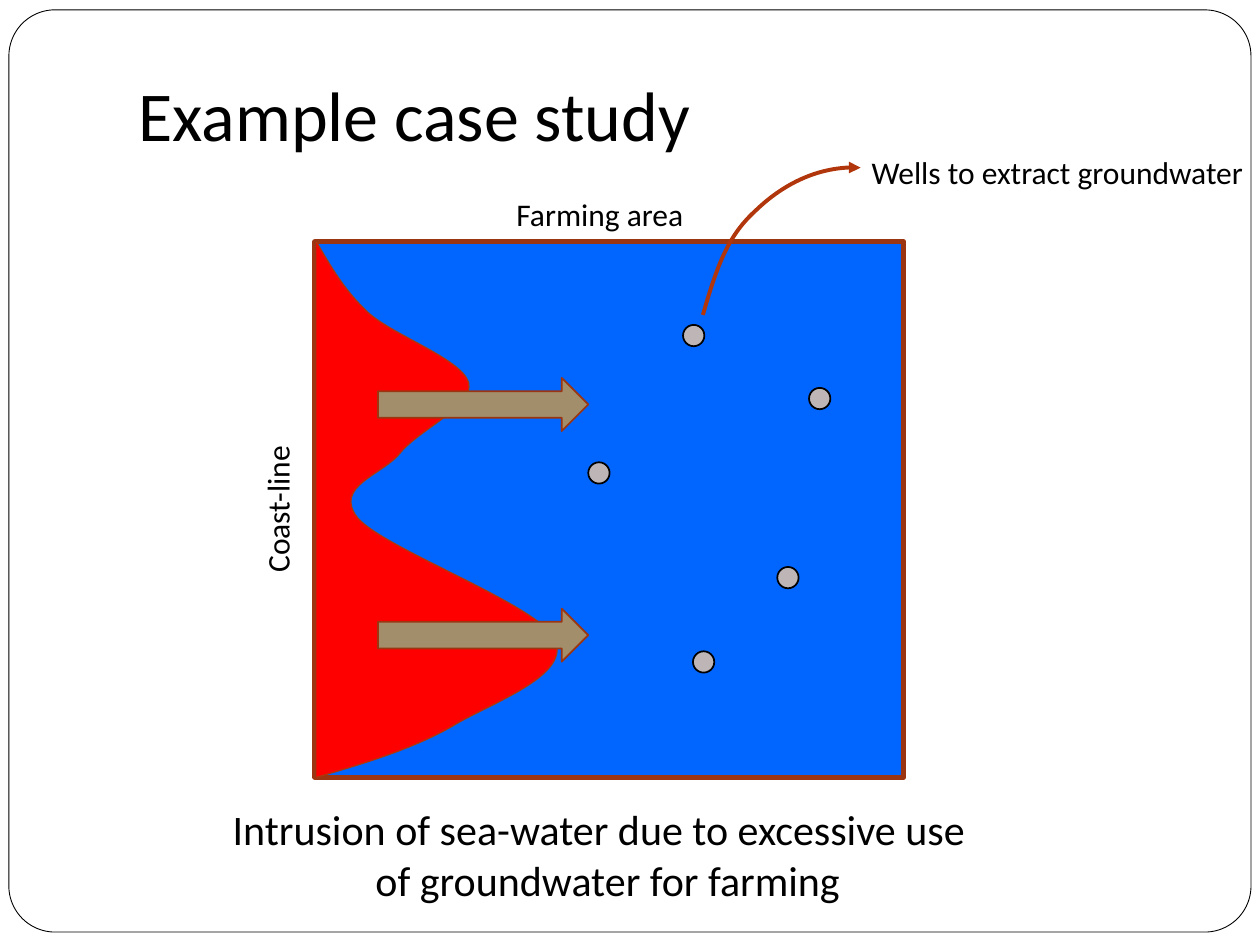
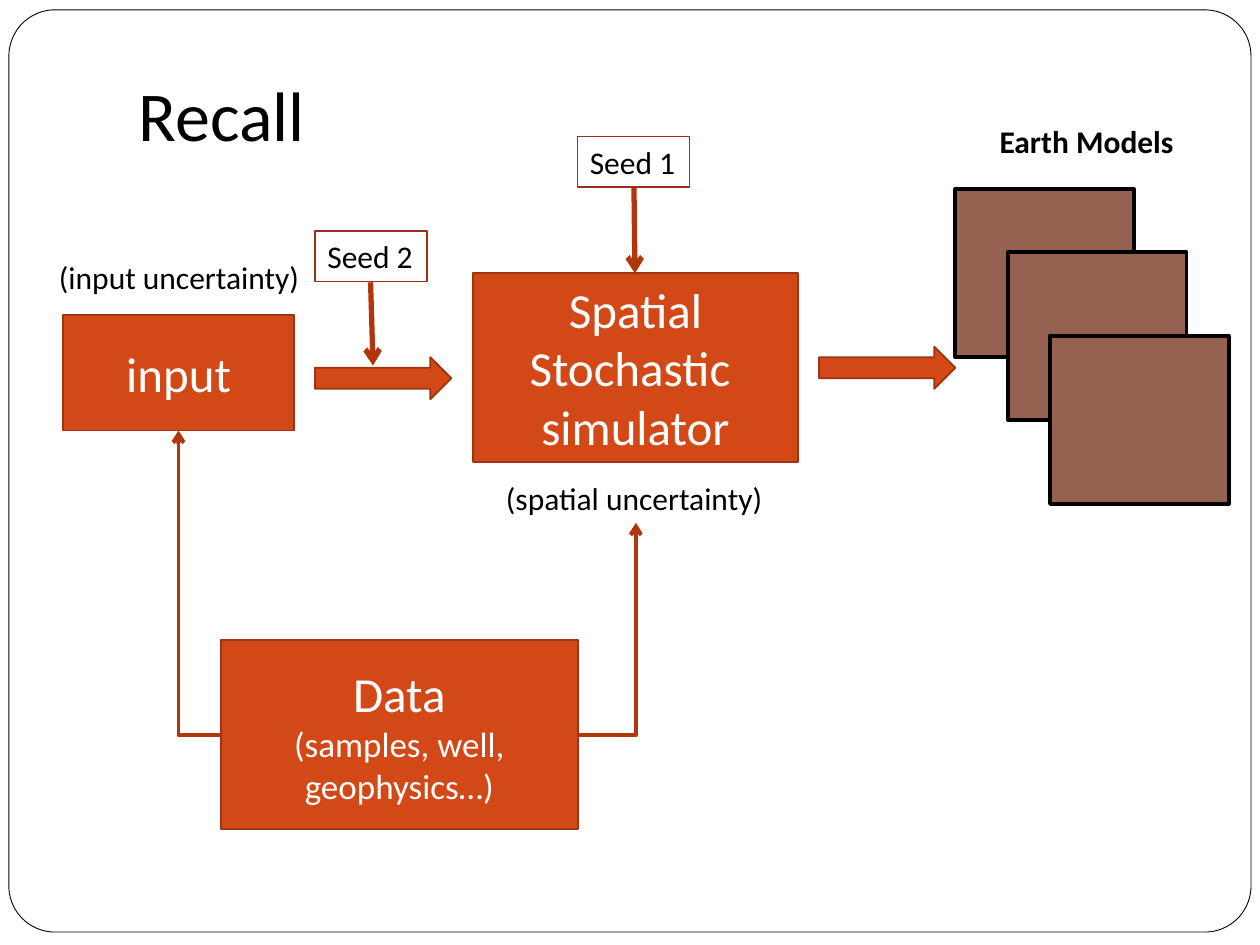
"""Build two slides: a sea-water intrusion case study and a recap of stochastic simulation."""
import dataclasses
import itertools

import lxml.etree
import pptx
import pptx.dml.color
import pptx.enum.shapes
import pptx.enum.text
import pptx.oxml.ns
import pptx.shapes.connector
import pptx.util

Cm = pptx.util.Cm
qn = pptx.oxml.ns.qn
MSO = pptx.enum.shapes.MSO_SHAPE
CXN = pptx.enum.shapes.MSO_CONNECTOR
ALIGN = pptx.enum.text.PP_ALIGN
ANCHOR = pptx.enum.text.MSO_ANCHOR


@dataclasses.dataclass(frozen=True)
class Theme:
    font: str = "Calibri"
    title: int = 40
    box: int = 28
    caption: int = 24
    detail: int = 20
    label: int = 18
    black: str = "000000"
    white: str = "FFFFFF"
    orange: str = "D34817"
    edge: str = "9C3511"
    arrow: str = "B1360B"
    seed: str = "9B2D1F"
    fresh: str = "0066FF"
    salt: str = "FF0000"
    flow: str = "A28E6A"
    well: str = "BDB5B6"
    model: str = "956251"


T = Theme()


def paint(sp, fill=None, line=T.edge, width=1, tail=None):
    sp.line.color.rgb = pptx.dml.color.RGBColor.from_string(line)
    sp.line.width = pptx.util.Pt(width)
    spPr = sp.element.spPr
    if tail:
        lxml.etree.SubElement(spPr.find(qn("a:ln")), qn("a:tailEnd"), type=tail)
    if isinstance(sp, pptx.shapes.connector.Connector):
        lxml.etree.SubElement(spPr, qn("a:effectLst"))
        return sp
    sp.shadow.inherit = False
    if fill:
        sp.fill.solid()
        sp.fill.fore_color.rgb = pptx.dml.color.RGBColor.from_string(fill)
    else:
        sp.fill.background()
    return sp


def write(sp, text, sizes=(T.label,), color=T.black, bold=False,
          aligns=(ALIGN.LEFT,), anchor=ANCHOR.TOP, wrap=False):
    tf = sp.text_frame
    tf.word_wrap = wrap
    tf.vertical_anchor = anchor
    formats = zip(text.split("\n"), itertools.cycle(sizes), itertools.cycle(aligns))
    for i, (words, size, align) in enumerate(formats):
        p = tf.add_paragraph() if i else tf.paragraphs[0]
        p.alignment = align
        r = p.add_run()
        r.text = words
        r.font.name = T.font
        r.font.size = pptx.util.Pt(size)
        r.font.bold = bold
        r.font.color.rgb = pptx.dml.color.RGBColor.from_string(color)
    return sp


prs = pptx.Presentation()
prs.slide_width, prs.slide_height = Cm(25.4), Cm(19.05)
layout = prs.slide_layouts.get_by_name("Title Only")
slides = []
for title in ("Example case study", "Recall"):
    s = prs.slides.add_slide(layout)
    sp = s.shapes.title
    sp.left, sp.top, sp.width, sp.height = Cm(2.54), Cm(0.2), Cm(21.59), Cm(3.18)
    write(sp, title, sizes=(T.title,), anchor=ANCHOR.BOTTOM, wrap=True)
    sp.text_frame.margin_bottom = Cm(0.25)
    slides.append(s)
case, recall = slides

frame = case.shapes.add_shape(MSO.ROUNDED_RECTANGLE, Cm(0.18), Cm(0.2), Cm(25.04), Cm(18.59))
frame.adjustments[0] = 0.05
paint(frame, T.white, T.black, 0.5)
layout.shapes.element.insert(2, frame.element)

field = case.shapes.add_shape(MSO.RECTANGLE, Cm(6.35), Cm(4.87), Cm(11.86), Cm(10.8))
paint(field, T.fresh, width=3)

salt_front = [
    (6.38, 4.88), (6.65, 5.33), (6.91, 5.82), (7.42, 6.3), (7.92, 6.76), (9.32, 7.24),
    (9.45, 7.72), (9.55, 8.18), (8.46, 8.66), (8.08, 9.12), (7.72, 9.58), (6.71, 9.8),
    (7.21, 10.44), (7.75, 11.07), (10.85, 12.19), (11.18, 12.88), (11.53, 13.59),
    (10.03, 14.12), (9.22, 14.58), (8.43, 15.06), (7.42, 15.37), (6.38, 15.67)]
well_pointer = [
    (14.17, 6.35), (14.48, 5.26), (14.71, 4.72), (15.24, 4.24),
    (15.77, 3.73), (16.56, 3.33), (17.35, 3.38)]
for points, style in (
        (salt_front, dict(fill=T.salt, line=T.arrow, width=0.75)),
        (well_pointer, dict(line=T.arrow, width=2.25, tail="triangle"))):
    start, *rest = [(Cm(x), Cm(y)) for x, y in points]
    builder = case.shapes.build_freeform(*start)
    builder.add_line_segments(rest, close=False)
    sp = paint(builder.convert_to_shape(), **style)
    outline = next(sp.element.iter(qn("a:path")))
    segments = outline.findall(qn("a:lnTo"))
    for i in range(0, len(segments), 3):
        curve = lxml.etree.SubElement(outline, qn("a:cubicBezTo"))
        for segment in segments[i:i + 3]:
            curve.append(segment[0])
            outline.remove(segment)

for y in (12.27, 7.62):
    paint(case.shapes.add_shape(MSO.RIGHT_ARROW, Cm(7.62), Cm(y), Cm(4.24), Cm(1.07)), T.flow)

for x, y in ((13.77, 6.55), (15.67, 11.43), (16.31, 7.82), (11.86, 9.32), (13.97, 13.13)):
    sp = case.shapes.add_shape(MSO.OVAL, Cm(x), Cm(y), Cm(0.43), Cm(0.43))
    paint(sp, T.well, T.black)

for s, text, x, y, w, rotation, bold in (
        (case, "Coast-line", 4.04, 9.73, 3.1, 270, False),
        (case, "Farming area", 10.16, 3.81, 3.91, 0, False),
        (case, "Wells to extract groundwater", 17.32, 2.97, 8.08, 0, False),
        (recall, "Earth Models", 19.9, 2.33, 4.04, 0, True),
        (recall, "(spatial uncertainty)", 9.95, 9.53, 5.74, 0, False),
        (recall, "(input uncertainty)", 0.94, 5.08, 5.41, 0, False)):
    sp = s.shapes.add_textbox(Cm(x), Cm(y), Cm(w), Cm(1.02))
    sp.rotation = rotation
    write(sp, text, bold=bold)

sp = case.shapes.add_textbox(Cm(4.44), Cm(16.08), Cm(15.62), Cm(2.31))
write(sp, "Intrusion of sea-water due to excessive use\nof groundwater for farming",
      sizes=(T.caption,), aligns=(ALIGN.LEFT, ALIGN.CENTER), wrap=True)

for text, x, y, w, h, sizes in (
        ("Spatial\nStochastic \nsimulator", 9.53, 5.5, 6.56, 3.81, (T.box,)),
        ("input", 1.27, 6.35, 4.66, 2.33, (T.box,)),
        ("Data\n(samples, well, geophysics…)", 4.45, 12.91, 7.2, 3.81, (T.box, T.detail))):
    sp = paint(recall.shapes.add_shape(MSO.RECTANGLE, Cm(x), Cm(y), Cm(w), Cm(h)), T.orange)
    write(sp, text, sizes=sizes, color=T.white, aligns=(ALIGN.CENTER,),
          anchor=ANCHOR.MIDDLE, wrap=True)

for text, x, y in (("Seed 1", 11.64, 2.75), ("Seed 2", 6.35, 4.66)):
    sp = recall.shapes.add_shape(MSO.RECTANGLE, Cm(x), Cm(y), Cm(2.26), Cm(1.02))
    write(paint(sp, line=T.seed, width=0.75), text)

for x, y in ((19.26, 3.81), (20.32, 5.08), (21.17, 6.77)):
    sp = recall.shapes.add_shape(MSO.RECTANGLE, Cm(x), Cm(y), Cm(3.6), Cm(3.39))
    paint(sp, T.model, T.black, 2.25)

for x, y in ((6.35, 7.2), (16.51, 6.99)):
    sp = recall.shapes.add_shape(MSO.RIGHT_ARROW, Cm(x), Cm(y), Cm(2.75), Cm(0.85))
    paint(sp, T.orange)

for kind, width, x1, y1, x2, y2 in (
        (CXN.STRAIGHT, 3, 12.78, 3.78, 12.8, 5.51),
        (CXN.STRAIGHT, 3, 7.47, 5.69, 7.52, 7.37),
        (CXN.ELBOW, 2.25, 4.45, 14.82, 3.6, 8.68),
        (CXN.ELBOW, 2.25, 11.65, 14.82, 12.82, 10.54)):
    sp = recall.shapes.add_connector(kind, Cm(x1), Cm(y1), Cm(x2), Cm(y2))
    if kind == CXN.ELBOW:
        sp.element.spPr.find(qn("a:prstGeom")).set("prst", "bentConnector2")
    paint(sp, line=T.arrow, width=width, tail="arrow")

prs.save("out.pptx")
